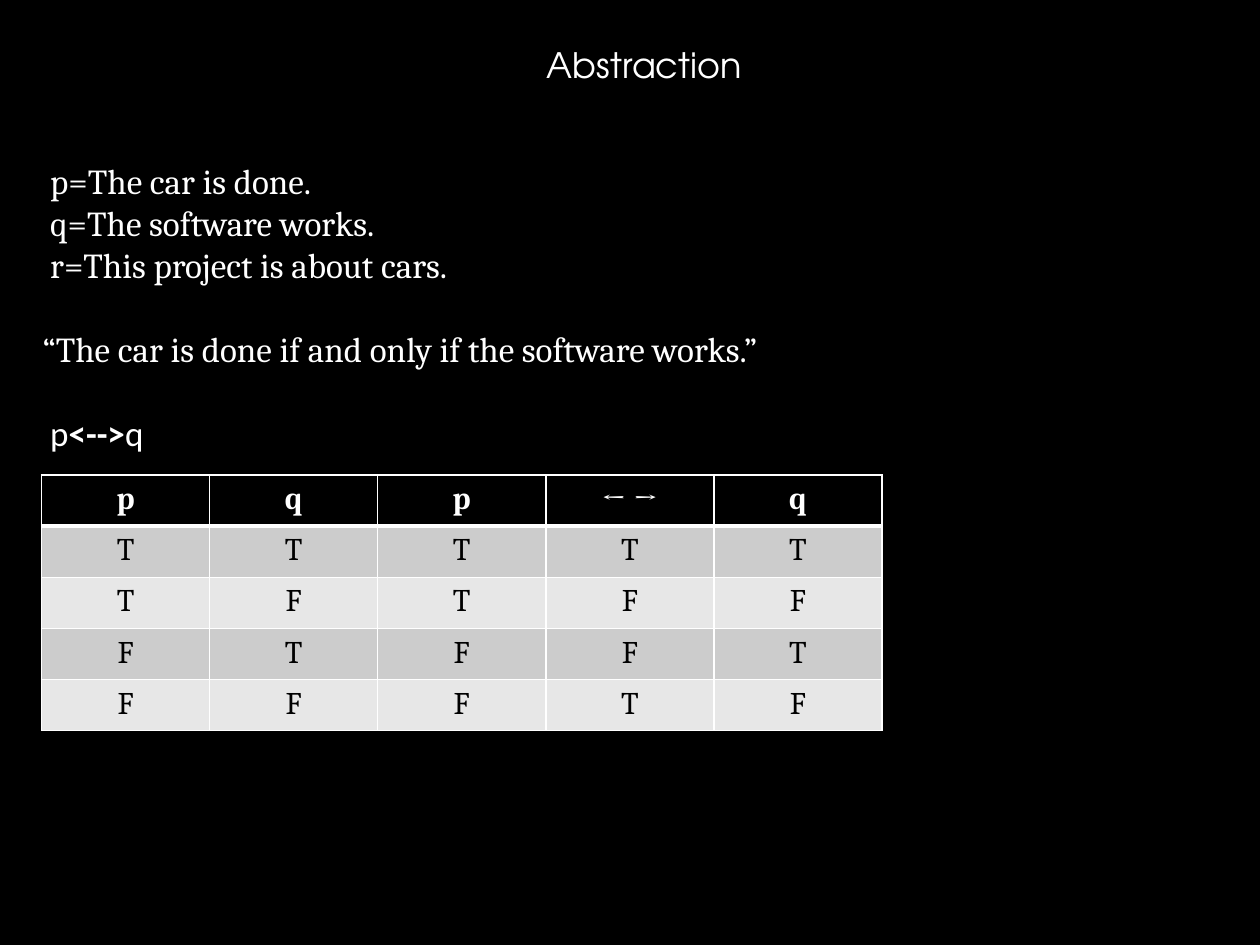
from lxml import etree
from pptx import Presentation
from pptx import util as u
from pptx.dml.color import RGBColor
from pptx.enum import text
from pptx.oxml.ns import qn

BLACK = RGBColor(0x00, 0x00, 0x00)
WHITE = RGBColor(0xFF, 0xFF, 0xFF)
BANDS = (RGBColor(0xCC, 0xCC, 0xCC), RGBColor(0xE7, 0xE7, 0xE7))
SERIF, SANS, TITLE_FONT = "Cambria", "Calibri", "TeX Gyre Adventor"
CENTER = text.PP_ALIGN.CENTER

LINES = [
    (["Abstraction"], TITLE_FONT, CENTER, 0, 0),
    (["p=The car is done."], SERIF, None, 42, 0.06),
    (["q=The software works."], SERIF, None, 0, 0.06),
    (["r=This project is about cars."], SERIF, None, 0, 0.06),
    (["“The car is done if and only if the software works.”"], SERIF, None, 24, 0),
    (["p", "<-->", "q"], SANS, None, 24, 0.06),
]
TRUTH_TABLE = [["p", "q", "p", "← →", "q"], "TTTTT", "TFTFF", "FTFFT", "FFFTF"]


class SlideBuilder:
    """Draws styled text and tables on the current slide."""

    def __init__(self, slide):
        self.slide = slide
        self.text_size = u.Pt(20)
        self.table_size = u.Pt(18)

    def background(self, color):
        fill = self.slide.background.fill
        fill.solid()
        fill.fore_color.rgb = color

    def style(self, run, font, size, color, bold=False):
        run.font.name = font
        run.font.size = size
        run.font.bold = bold
        run.font.color.rgb = color

    def text_box(self, left, top, width, height, lines):
        box = self.slide.shapes.add_textbox(*map(u.Inches, (left, top, width, height)))
        frame = box.text_frame
        frame.word_wrap = True
        for index, (parts, font, alignment, gap, indent) in enumerate(lines):
            paragraph = frame.add_paragraph() if index else frame.paragraphs[0]
            paragraph.alignment = alignment
            if gap:
                paragraph.space_before = u.Pt(gap)
            if indent:
                paragraph._p.get_or_add_pPr().set("marL", str(u.Inches(indent)))
            for part in parts:
                run = paragraph.add_run()
                run.text = part
                self.style(run, font, self.text_size, WHITE, part == "<-->")

    def borders(self, cell, **widths):
        properties = cell._tc.get_or_add_tcPr()
        for side in "LRTB":
            width = u.Pt(widths.get(side, 1))
            line = etree.SubElement(properties, qn(f"a:ln{side}"), w=str(width))
            fill = etree.SubElement(line, qn("a:solidFill"))
            etree.SubElement(fill, qn("a:srgbClr"), val=str(WHITE))

    def table(self, left, top, width, height, rows):
        frame = self.slide.shapes.add_table(
            len(rows), len(rows[0]), *map(u.Inches, (left, top, width, height)))
        for row, values in enumerate(rows):
            header = row == 0
            for column, value in enumerate(values):
                cell = frame.table.cell(row, column)
                self.borders(cell, T=3 if row == 1 else 1, B=3 if header else 1)
                cell.fill.solid()
                cell.fill.fore_color.rgb = BLACK if header else BANDS[(row - 1) % 2]
                cell.text_frame.text = value
                paragraph = cell.text_frame.paragraphs[0]
                paragraph.alignment = CENTER
                self.style(paragraph.runs[0], SERIF, self.table_size,
                           WHITE if header else BLACK, header)


def main():
    presentation = Presentation()
    presentation.slide_width = u.Inches(10)
    presentation.slide_height = u.Inches(7.5)
    builder = SlideBuilder(presentation.slides.add_slide(presentation.slide_layouts[6]))
    builder.background(BLACK)
    builder.text_box(0.24, 0.3, 9.75, 6.13, LINES)
    builder.table(0.33, 3.77, 6.67, 2.03, TRUTH_TABLE)
    presentation.save("out.pptx")


if __name__ == "__main__":
    main()
